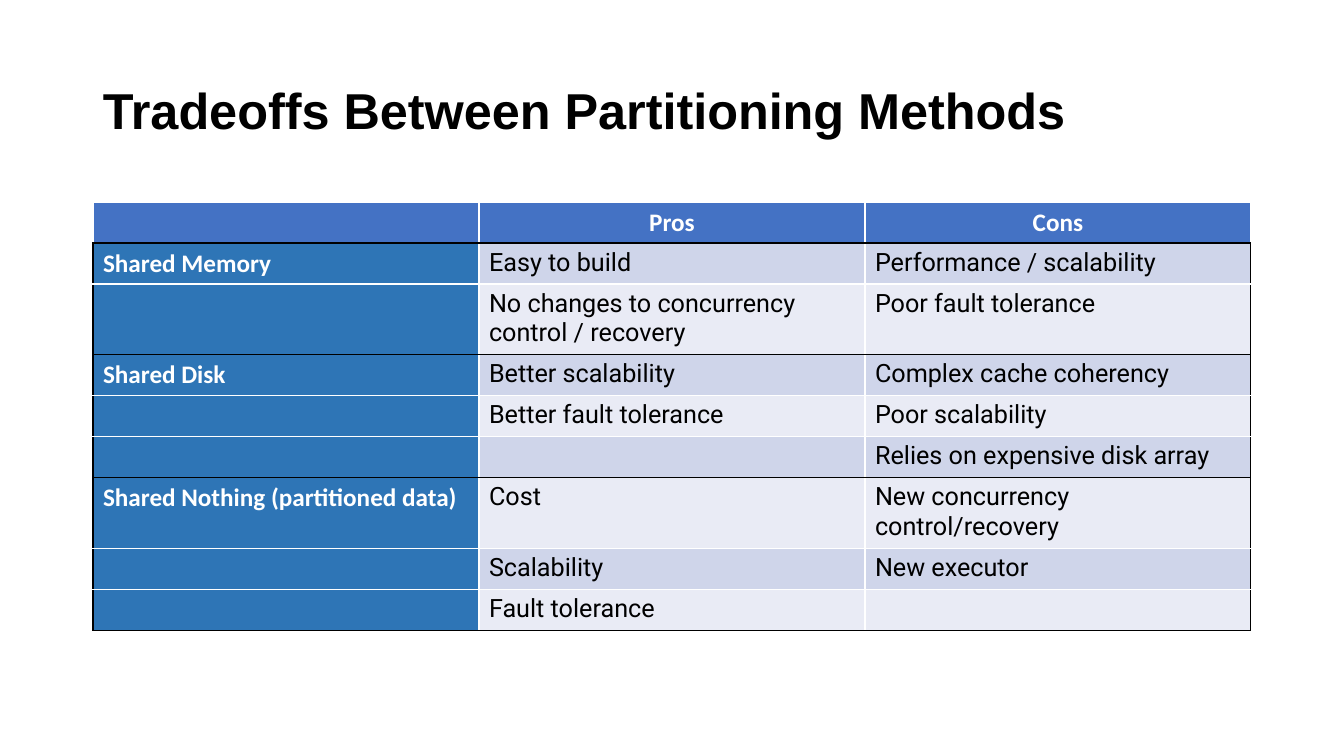
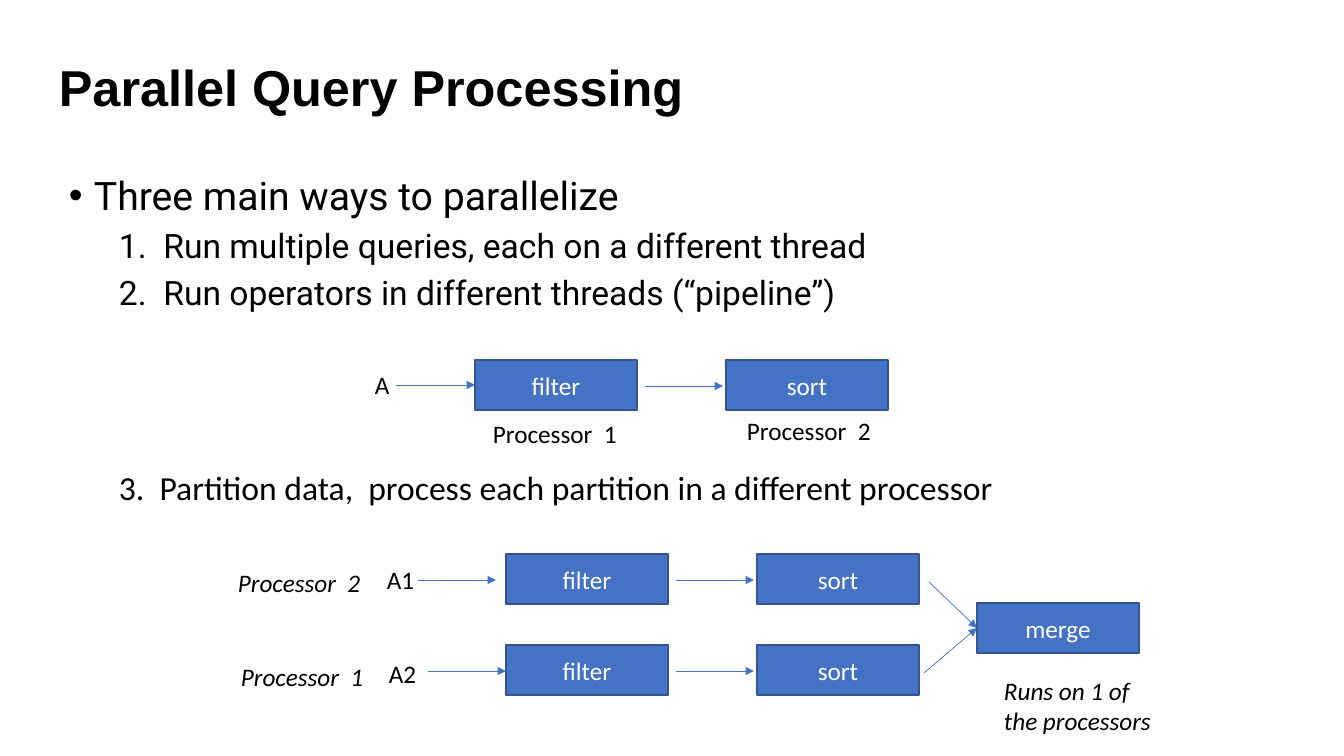
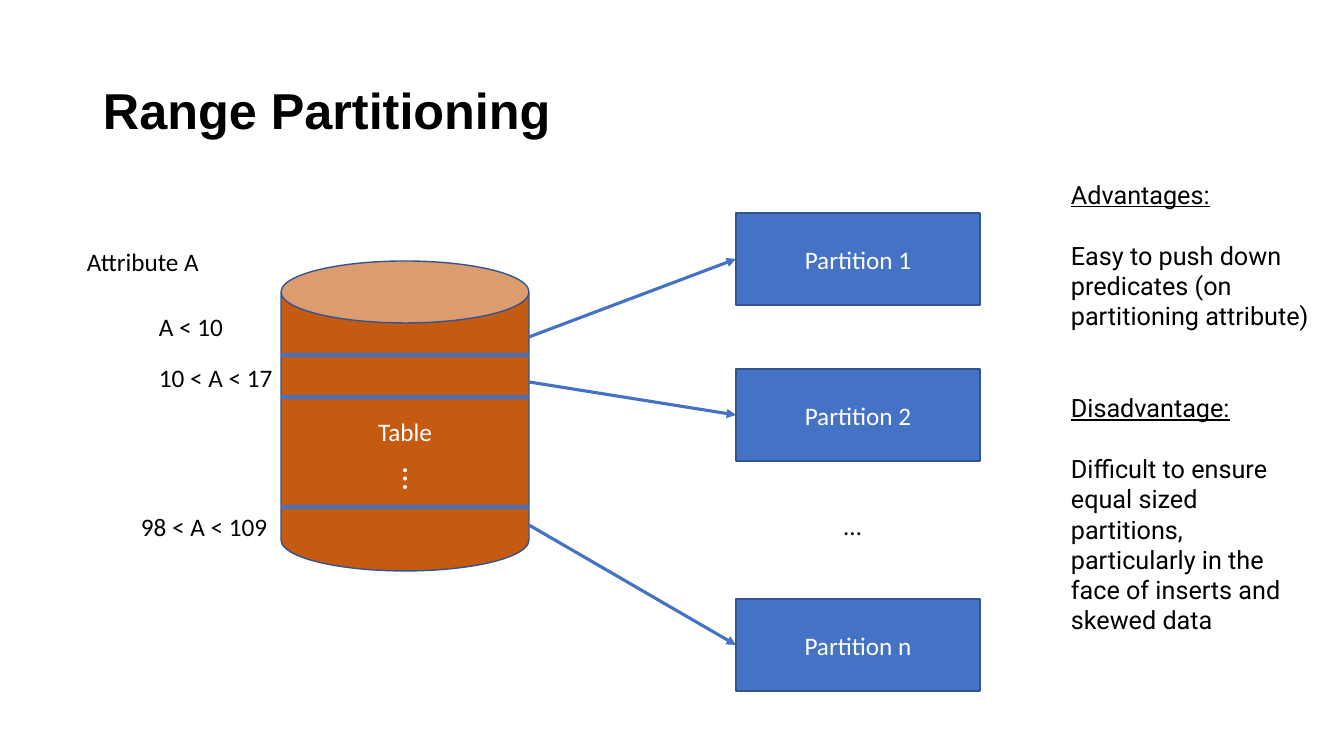
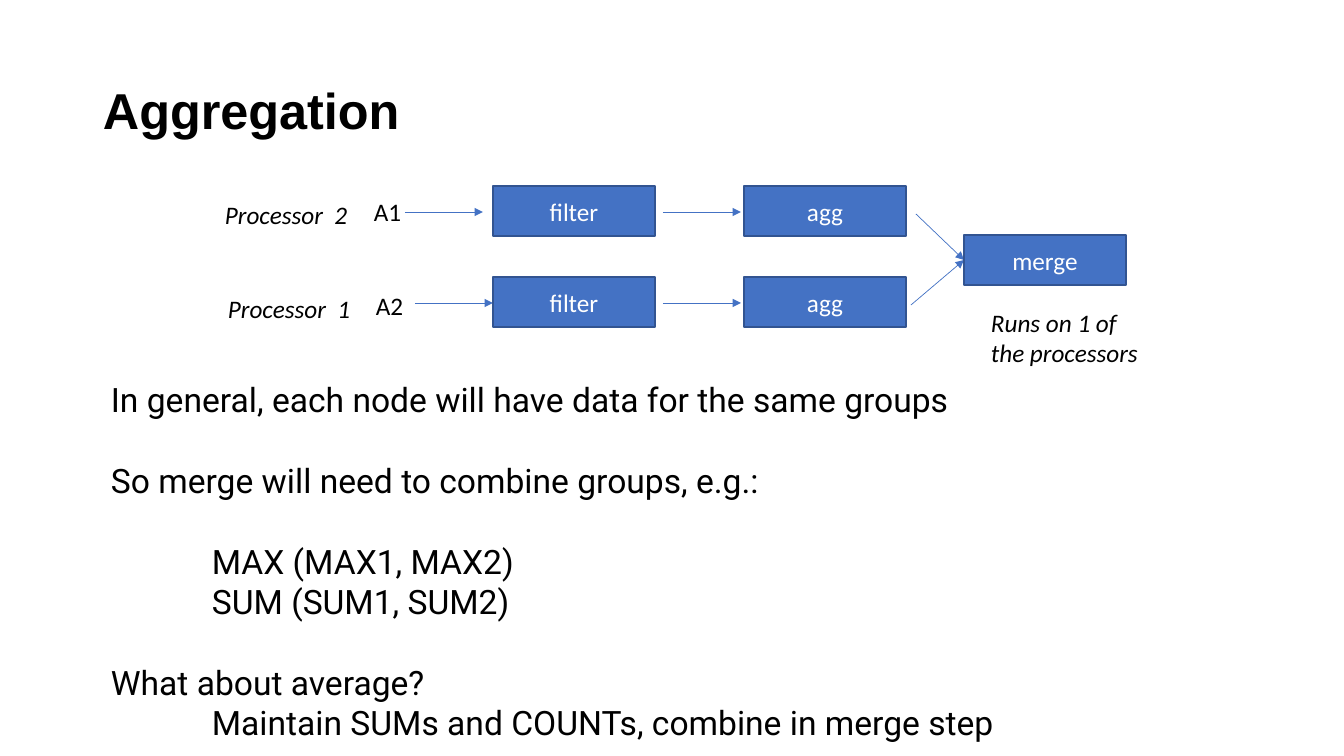
from lxml import etree
from pptx import Presentation
from pptx import util as u
from pptx.dml.color import RGBColor
from pptx.enum import shapes, text
from pptx.oxml.ns import qn

PIXEL = 914400 / 100.8

BLACK = RGBColor(0x00, 0x00, 0x00)
WHITE = RGBColor(0xFF, 0xFF, 0xFF)
BLUE = RGBColor(0x44, 0x72, 0xC4)
EDGE = RGBColor(0x32, 0x54, 0x91)
SIDE = RGBColor(0x2E, 0x75, 0xB6)
BANDS = [RGBColor(0xE9, 0xEB, 0xF5), RGBColor(0xCF, 0xD5, 0xEA)]
ORANGE = RGBColor(0xC5, 0x5A, 0x11)

# Font formats; "color" is applied to the font's fill
TITLE = dict(name="Arial", size=u.Pt(36), bold=True, color=BLACK)
LABEL = dict(name="Calibri", size=u.Pt(18), bold=False, color=BLACK)
NOTE = dict(LABEL, italic=True)
ON_FILL = dict(LABEL, color=WHITE)
HEADING = dict(ON_FILL, bold=True)
PROSE = dict(LABEL, name="Roboto")
LARGE = dict(PROSE, size=u.Pt(24))

CENTER = dict(alignment=text.PP_ALIGN.CENTER)
STAGE_WIDTH, STAGE_HEIGHT, STAGE_STEP = 162, 50, 251


# ---- Shared parts ----
def px(count):
    return u.Emu(round(count * PIXEL))


def area(*lengths):
    return [px(length) for length in lengths]


def apply(target, values):
    for name, value in values.items():
        setattr(target, name, value)


def fill_in(para, words, look, layout=None):
    """Write one paragraph in a font format, with paragraph settings."""
    span = para.add_run()
    span.text = words
    apply(span.font, {key: value for key, value in look.items() if key != "color"})
    span.font.color.rgb = look["color"]
    apply(para, layout or {})


def indent(para, left, hanging=0, bullet=None):
    properties = para._p.get_or_add_pPr()
    properties.set("marL", str(px(left)))
    properties.set("indent", str(-px(hanging)))
    if bullet:
        etree.SubElement(properties, qn("a:buFont")).set("typeface", "Arial")
        etree.SubElement(properties, qn("a:buChar")).set("char", bullet)


def text_frame(page, box, anchor=text.MSO_ANCHOR.TOP):
    frame = page.shapes.add_textbox(*area(*box)).text_frame
    apply(frame, dict(word_wrap=True, vertical_anchor=anchor))
    return frame


def add_label(page, box, words, look=LABEL, left=0):
    para = text_frame(page, box).paragraphs[0]
    fill_in(para, words, look)
    if left:
        indent(para, left)


def add_prose(page, box, look, lines):
    """Lines are (words, space before in points, left indent, extra font format)."""
    frame = text_frame(page, box)
    for number, (words, gap, left, extra) in enumerate(lines):
        para = frame.add_paragraph() if number else frame.paragraphs[0]
        fill_in(para, words, dict(look, **extra), dict(space_before=u.Pt(gap)))
        indent(para, left)


def add_title(page, words, left=93, top=40):
    frame = text_frame(page, (left, top, 1159, 146), text.MSO_ANCHOR.MIDDLE)
    fill_in(frame.paragraphs[0], words, TITLE, dict(line_spacing=0.9))


def add_block(page, box, words, color=BLUE, kind=shapes.MSO_SHAPE.RECTANGLE):
    block = page.shapes.add_shape(kind, *area(*box))
    block.shadow.inherit = False
    block.fill.solid()
    block.fill.fore_color.rgb = color
    block.line.color.rgb = EDGE
    block.line.width = u.Pt(1)
    block.text_frame.vertical_anchor = text.MSO_ANCHOR.MIDDLE
    fill_in(block.text_frame.paragraphs[0], words, ON_FILL, CENTER)


def add_line(page, start, end, width=0.5, arrow=True):
    line = page.shapes.add_connector(
        shapes.MSO_CONNECTOR.STRAIGHT, *area(*start), *area(*end))
    line.line.color.rgb = BLUE
    line.line.width = u.Pt(width)
    properties = line._element.spPr
    if arrow:
        tip = etree.SubElement(properties.find(qn("a:ln")), qn("a:tailEnd"))
        tip.set("type", "triangle")
    etree.SubElement(properties, qn("a:effectLst"))


# ---- Table ----
def set_borders(cell, colors):
    properties = cell._tc.get_or_add_tcPr()
    for side, color in zip(("L", "R", "T", "B"), colors):
        line = etree.SubElement(properties, qn("a:ln" + side), w=str(u.Pt(1)))
        fill = etree.SubElement(line, qn("a:solidFill"))
        etree.SubElement(fill, qn("a:srgbClr")).set("val", str(color))


def add_tradeoff_table(page, left, top, column_width, row_height, rows):
    count, width = len(rows), len(rows[0])
    grid = page.shapes.add_table(
        count, width, *area(left, top, width * column_width, count * row_height)).table
    for column in grid.columns:
        column.width = px(column_width)
    # A group starts at each row with a name, and the last one ends the table
    breaks = {number for number, row in enumerate(rows) if number and row[0]} | {count}
    for r, row in enumerate(rows):
        grid.rows[r].height = px(row_height)
        for c, words in enumerate(row):
            cell = grid.cell(r, c)
            dark = (r and c == 0, r and c == width - 1, r in breaks, r + 1 in breaks)
            set_borders(cell, [BLACK if edge else WHITE for edge in dark])
            cell.fill.solid()
            if r == 0:
                color, look, layout = BLUE, HEADING, CENTER
            elif c == 0:
                color, look, layout = SIDE, HEADING, {}
            else:
                color, look, layout = BANDS[r % 2], PROSE, {}
            cell.fill.fore_color.rgb = color
            if words:
                fill_in(cell.text_frame.paragraphs[0], words, look, layout)


# ---- Query pipelines ----
def add_stages(page, left, top, names):
    """Two operators joined by an arrow."""
    for number, name in enumerate(names):
        add_block(page, (left + number * STAGE_STEP, top, STAGE_WIDTH, STAGE_HEIGHT), name)
    middle = top + 26
    add_line(page, (left + 170, middle), (left + 248, middle))


def add_merged_pipelines(page, left, top, names):
    """Two parallel rows of operators that meet in a merge step."""
    merge_left, merge_top = left + 749, top + 49
    merge_entry = (merge_left, merge_top + STAGE_HEIGHT // 2)
    # Per row: processor, its offset, input, its offset, arrow starts in and out
    rows = [
        ("Processor  2", (0, 8), "A1", (149, 5), 190, 701),
        ("Processor  1", (3, 11), "A2", (151, 8), 200, 696),
    ]
    for number, (processor, at, source, source_at, entry, leave) in enumerate(rows):
        row_top = top + number * 91
        middle = row_top + 26
        add_label(page, (left + at[0], row_top + at[1], 146, 40), processor, NOTE)
        add_label(page, (left + source_at[0], row_top + source_at[1], 62, 40), source)
        add_line(page, (left + entry, middle), (left + entry + 78, middle))
        add_stages(page, left + 278, row_top, names)
        add_line(page, (left + leave, row_top + 28), merge_entry)
    add_block(page, (merge_left, merge_top, STAGE_WIDTH, STAGE_HEIGHT), "merge")
    add_label(page, (left + 766, top + 116, 181, 72), "Runs on 1 of the processors", NOTE)


def add_single_pipeline(page, left, top):
    add_label(page, (left, top + 4, 62, 40), "A")
    add_line(page, (left + 31, top + 25), (left + 110, top + 25))
    add_stages(page, left + 110, top, ("filter", "sort"))
    add_label(page, (left + 118, top + 53, 146, 40), "Processor  1")
    add_label(page, (left + 372, top + 50, 146, 40), "Processor  2")


# ---- Range partitions ----
def add_partitions(page, left, top, width, height):
    """A cylinder cut into ranges, each sent to its partition."""
    right, target = left + width, left + 455
    add_block(page, (left, top, width, height), "Table", ORANGE, shapes.MSO_SHAPE.CAN)
    add_label(page, (left - 204, top - 20, 202, 40), "Attribute A")
    # Range, label offset, then tops of cut, arrow start and partition
    ranges = [
        ("A < 10", (-132, 45), 94, 76, "Partition 1", -48),
        ("10 < A < 17", (-132, 96), 136, 121, "Partition 2", 108),
        ("98 < A < 109", (-150, 245), 246, 264, "Partition n", 338),
    ]
    for words, at, cut, start, name, block_top in ranges:
        add_line(page, (right, top + start), (target, top + block_top + 46), 2.25)
        add_block(page, (target, top + block_top, 244, 92), name)
        add_line(page, (left, top + cut), (right, top + cut), 3, arrow=False)
        add_label(page, (left + at[0], top + at[1], 202, 40), words)
    # Ellipses for the ranges between
    add_label(page, (target + 98, top + 244, 146, 40), "…")
    add_label(page, (left + 63, top + 245, 146, 50), "…", dict(ON_FILL, size=u.Pt(24)))
    page.shapes[-1].rotation = 90


# ---- Slides ----
def build_tradeoffs(page):
    add_title(page, "Tradeoffs Between Partitioning Methods")
    add_tradeoff_table(page, 93, 202, 386, 41, [
        ("", "Pros", "Cons"),
        ("Shared Memory", "Easy to build", "Performance / scalability"),
        ("", "No changes to concurrency control / recovery", "Poor fault tolerance"),
        ("Shared Disk", "Better scalability", "Complex cache coherency"),
        ("", "Better fault tolerance", "Poor scalability"),
        ("", "", "Relies on expensive disk array"),
        ("Shared Nothing (partitioned data)", "Cost", "New concurrency control/recovery"),
        ("", "Scalability", "New executor"),
        ("", "Fault tolerance", ""),
    ])


def build_parallel(page):
    add_title(page, "Parallel Query Processing", 49, 17)
    frame = text_frame(page, (59, 166, 869, 176))
    fill_in(frame.paragraphs[0], "Three main ways to parallelize",
            dict(PROSE, size=u.Pt(28)), dict(space_before=u.Pt(10)))
    indent(frame.paragraphs[0], 25, 25, "•")
    for words in ("1.  Run multiple queries, each on a different thread",
                  "2.  Run operators in different threads (“pipeline”)"):
        para = frame.add_paragraph()
        fill_in(para, words, LARGE, dict(level=1, space_before=u.Pt(5)))
        indent(para, 50)
    add_single_pipeline(page, 365, 360)
    add_label(page, (59, 462, 1010, 50),
              "3.  Partition data,  process each partition in a different processor",
              dict(LABEL, size=u.Pt(24)), 50)
    add_merged_pipelines(page, 228, 554, ("filter", "sort"))


def build_ranges(page):
    add_title(page, "Range Partitioning")
    add_partitions(page, 281, 261, 248, 310)
    underlined = dict(underline=True)
    add_prose(page, (1061, 174, 258, 499), PROSE, [
        ("Advantages:", 0, 0, underlined),
        ("Easy to push down predicates (on partitioning attribute)", 22, 0, {}),
        ("Disadvantage:", 44, 0, underlined),
        ("Difficult to ensure equal sized partitions, particularly in the face of "
         "inserts and skewed data", 22, 0, {}),
    ])


def build_aggregation(page):
    add_title(page, "Aggregation")
    add_merged_pipelines(page, 215, 186, ("filter", "agg"))
    add_prose(page, (101, 374, 1243, 377), LARGE, [
        ("In general, each node will have data for the same groups", 0, 0, {}),
        ("So merge will need to combine groups, e.g.:", 29, 0, {}),
        ("MAX (MAX1, MAX2)", 29, 101, {}),
        ("SUM (SUM1, SUM2)", 0, 101, {}),
        ("What about average?", 29, 0, {}),
        ("Maintain SUMs and COUNTs, combine in merge step", 0, 101, {}),
    ])


deck = Presentation()
apply(deck, dict(slide_width=px(1344), slide_height=px(756)))
for build in (build_tradeoffs, build_parallel, build_ranges, build_aggregation):
    build(deck.slides.add_slide(deck.slide_layouts[6]))
deck.save("out.pptx")
